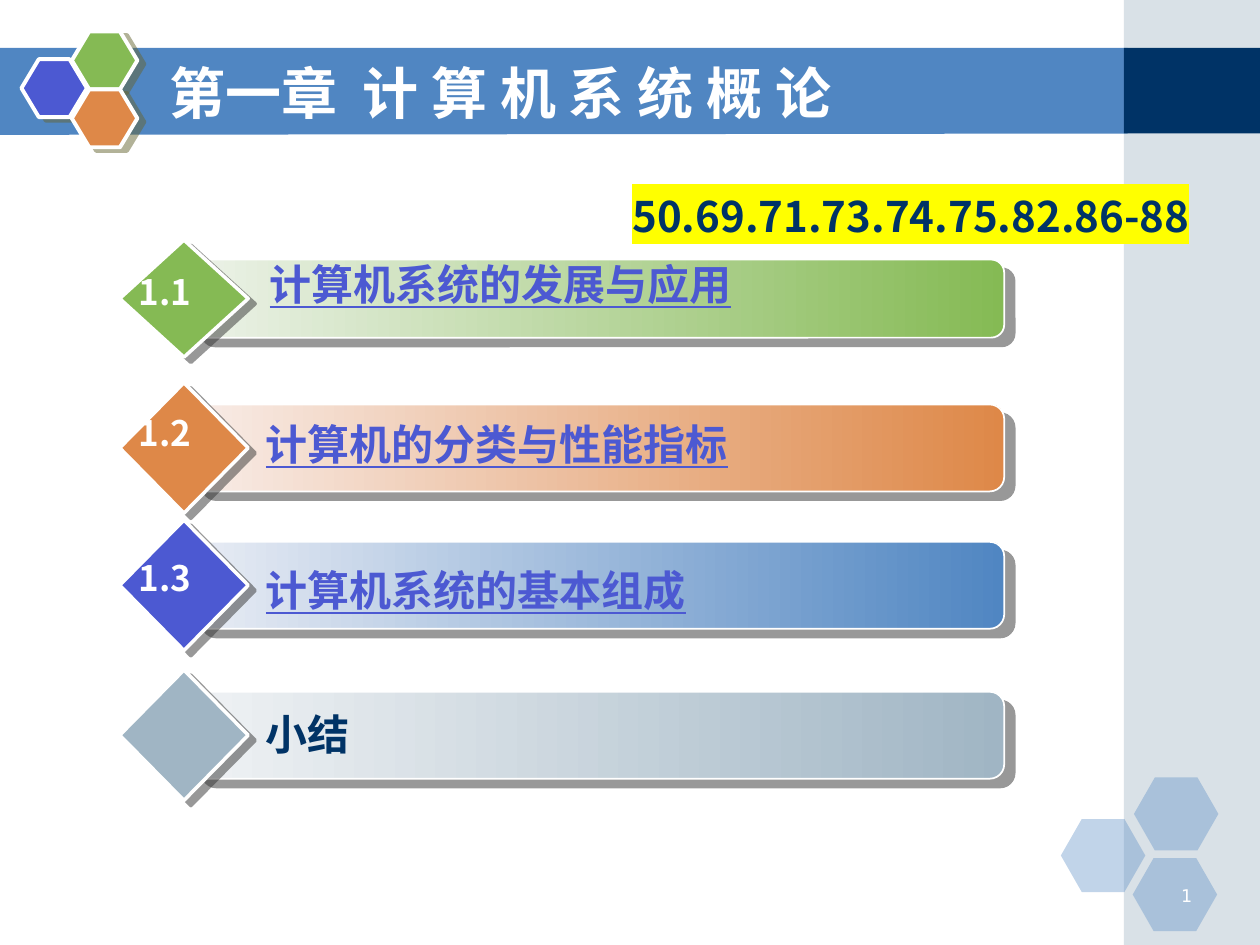
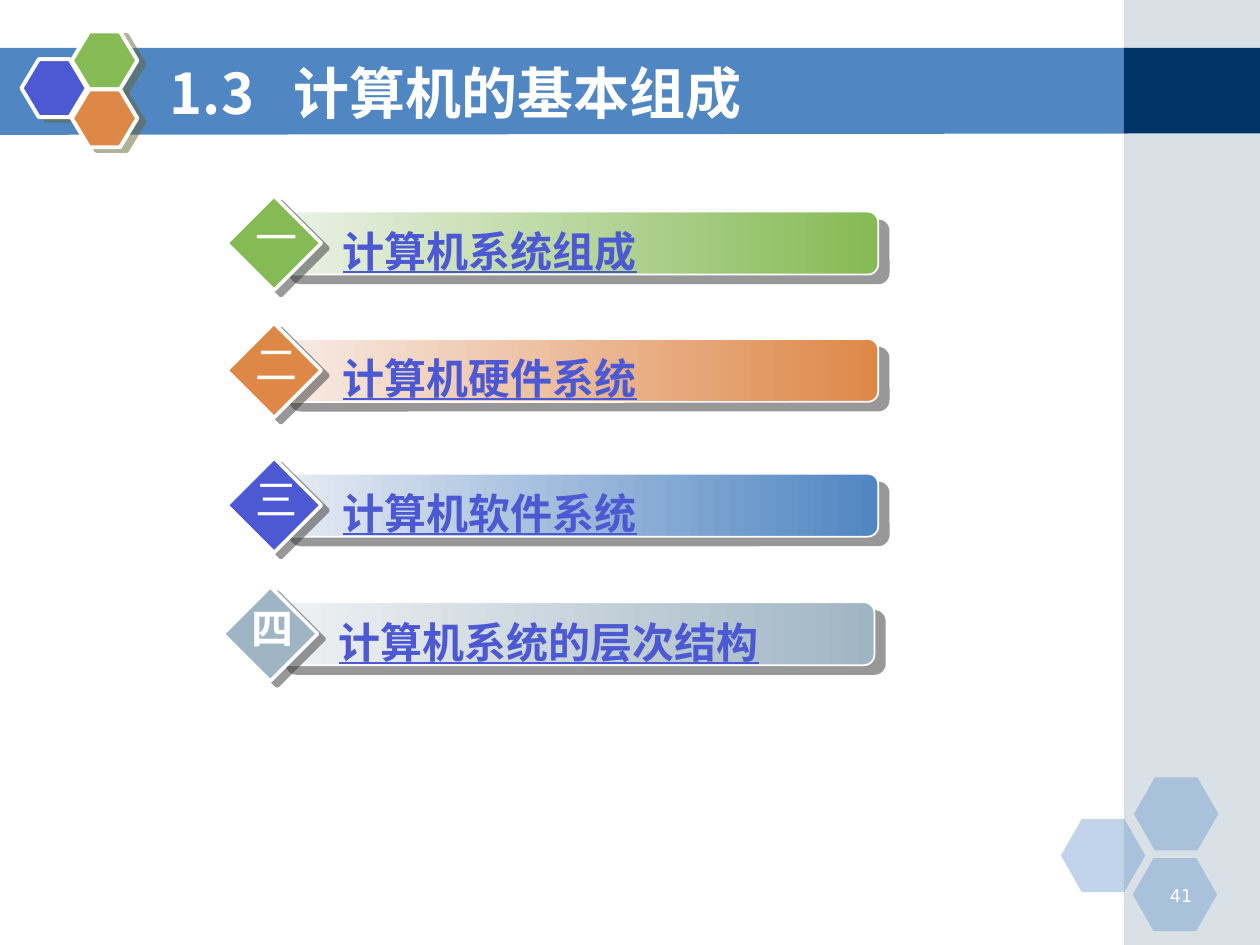
from typing import Any, NamedTuple

import pptx
import pptx.dml.color
import pptx.enum.shapes
import pptx.enum.text
import pptx.oxml
import pptx.oxml.ns
import pptx.util
from lxml import etree

Inches = pptx.util.Inches
Pt = pptx.util.Pt
qn = pptx.oxml.ns.qn
MSO = pptx.enum.shapes.MSO_SHAPE
ALIGN = pptx.enum.text.PP_ALIGN


class Theme:
    white = "FFFFFF"
    navy = "003366"
    blue = "5086C2"
    violet = "4C59D2"
    green = "85BA54"
    orange = "DE8848"
    grey = "A0B5C4"
    highlight = "FFFF00"
    cjk = "Noto Sans CJK SC"
    latin = "Arial"
    number_font = "DejaVu Sans"
    title_size = 32
    item_size = 24
    label_size = 20
    number_size = 10


class Shadow(NamedTuple):
    color: str
    distance: float
    angle: int


class Tint(NamedTuple):
    diamond: str
    light: str
    dark: str


class Row(NamedTuple):
    label: str
    text: str
    tint: Tint
    y: float
    height: float
    text_y: float
    label_y: float
    bar_x: float
    text_shift: float = 0
    link: bool = True
    label_bold: bool = True


class Agenda(NamedTuple):
    bar_w: float
    diamond_dx: float
    diamond_w: float
    text_dx: float
    text_w: float
    label_dx: float
    label_w: float
    label_h: float
    label_size: int
    font: str


LOGO_SHADOW = Shadow("666633", 4.5, 27)
BAR_SHADOW = Shadow("333333", 7.8, 40)
DIAMOND_SHADOW = Shadow("333333", 5, 37)

GREEN = Tint(Theme.green, "ECF2E8", Theme.green)
ORANGE = Tint(Theme.orange, "F8ECE7", Theme.orange)
BLUE = Tint(Theme.violet, "E8ECF4", Theme.blue)
GREY = Tint(Theme.grey, "EFF2F4", Theme.grey)

CHAPTER = Agenda(6.45, -0.57, 1.02, 0.34, 5.6, -0.52, 0.81, 0.44,
                 Theme.label_size, Theme.cjk)
SECTION = Agenda(4.75, -0.42, 0.75, 0.25, 3.75, -0.29, 0.53, 0.5,
                 Theme.item_size, Theme.latin)


def rgb(color: str) -> pptx.dml.color.RGBColor:
    return pptx.dml.color.RGBColor.from_string(color)


def add_shape(s: Any, kind: Any, x: float, y: float, w: float, h: float, *,
              fill: str = "", gradient: tuple[str, ...] = (), alpha: int = 100,
              line: float = 0, adj: float | None = None,
              shadow: Shadow | None = None) -> Any:
    sp = s.shapes.add_shape(kind, Inches(x), Inches(y), Inches(w), Inches(h))
    if adj is not None:
        sp.adjustments[0] = adj
    if gradient:
        sp.fill.gradient()
        sp.fill.gradient_angle = 0
        for stop, color in zip(sp.fill.gradient_stops, gradient):
            stop.color.rgb = rgb(color)
        for position, stop in enumerate(sp.fill.gradient_stops):
            stop.position = position
    else:
        sp.fill.solid()
        sp.fill.fore_color.rgb = rgb(fill)
    if alpha < 100:
        clr = sp.element.spPr.find(qn("a:solidFill")).find(qn("a:srgbClr"))
        etree.SubElement(clr, qn("a:alpha"), val=str(alpha * 1000))
    if line:
        sp.line.color.rgb = rgb(Theme.white)
        sp.line.width = Pt(line)
    else:
        sp.line.fill.background()
    sp.shadow.inherit = False
    if shadow:
        effects = sp.element.spPr.find(qn("a:effectLst"))
        outer = etree.SubElement(
            effects, qn("a:outerShdw"), dist=str(int(Pt(shadow.distance))),
            dir=str(shadow.angle * 60000), algn="ctr", rotWithShape="0")
        clr = etree.SubElement(outer, qn("a:srgbClr"), val=shadow.color)
        etree.SubElement(clr, qn("a:alpha"), val="50000")
    return sp


def add_text(s: Any, text: str, x: float, y: float, w: float, h: float, *,
             size: int, color: str, font: str = Theme.cjk, bold: bool = True,
             underline: bool = False, highlight: str = "", align: Any = None,
             indent: float = 0, tab: float = 0, wrap: bool = True) -> None:
    tf = s.shapes.add_textbox(Inches(x), Inches(y), Inches(w), Inches(h)).text_frame
    tf.word_wrap = wrap
    tf.vertical_anchor = pptx.enum.text.MSO_ANCHOR.MIDDLE
    tf.margin_top = tf.margin_bottom = 0
    tf.margin_left = Inches(0.1 + indent)
    p = tf.paragraphs[0]
    if tab:
        stops = etree.SubElement(p._p.get_or_add_pPr(), qn("a:tabLst"))
        etree.SubElement(stops, qn("a:tab"), pos=str(int(Inches(tab))), algn="l")
    if align is not None:
        p.alignment = align
    r = p.add_run()
    r.text = text
    r.font.size = Pt(size)
    r.font.bold = bold
    if underline:
        r.font.underline = True
    r.font.color.rgb = rgb(color)
    r.font.name = font
    # East Asian typeface and highlight sit beside the latin typeface
    latin = r._r.get_or_add_rPr().find(qn("a:latin"))
    ea = pptx.oxml.parse_xml(f'<a:ea {pptx.oxml.ns.nsdecls("a")} typeface="{font}"/>')
    latin.addnext(ea)
    if highlight:
        mark = etree.Element(qn("a:highlight"))
        etree.SubElement(mark, qn("a:srgbClr"), val=highlight)
        latin.addprevious(mark)


def add_frame(s: Any, title: str, tab: float, number: int) -> None:
    # Title band and side column
    builder = s.shapes.build_freeform(Inches(-0.01), Inches(0.38))
    builder.add_line_segments([(Inches(x), Inches(y)) for x, y in
                               ((8.95, 0.38), (8.95, 1.06), (-0.01, 1.07))])
    band = builder.convert_to_shape()
    band.fill.solid()
    band.fill.fore_color.rgb = rgb(Theme.blue)
    band.line.fill.background()
    band.shadow.inherit = False
    add_shape(s, MSO.RECTANGLE, 8.92, 0, 1.08, 7.5, fill=Theme.grey, alpha=40)
    add_shape(s, MSO.RECTANGLE, 8.92, 0.38, 1.08, 0.68, fill=Theme.navy)

    # Hexagon clusters
    for x, y in ((8.42, 6.5), (9, 6.17), (8.99, 6.81)):
        add_shape(s, MSO.HEXAGON, x, y, 0.67, 0.58, fill=Theme.blue, alpha=35,
                  adj=0.286)
    for x, y, color in ((0.17, 0.47, Theme.violet), (0.57, 0.25, Theme.green),
                        (0.57, 0.71, Theme.orange)):
        add_shape(s, MSO.HEXAGON, x, y, 0.52, 0.46, fill=color, line=2.25,
                  adj=0.3, shadow=LOGO_SHADOW)

    # Slide number and title
    add_text(s, str(number), 9.06, 6.98, 0.5, 0.25, size=Theme.number_size,
             color=Theme.white, font=Theme.number_font, bold=False,
             align=ALIGN.RIGHT)
    add_text(s, title, 1.25, 0.42, 7.33, 0.62, size=Theme.title_size,
             color=Theme.white, tab=tab)


def add_row(s: Any, agenda: Agenda, row: Row) -> None:
    diamond_h = row.height * 1.5
    add_shape(s, MSO.ROUNDED_RECTANGLE, row.bar_x, row.y, agenda.bar_w, row.height,
              gradient=(row.tint.light, row.tint.dark), line=1, adj=0.167,
              shadow=BAR_SHADOW)
    add_shape(s, MSO.DIAMOND, row.bar_x + agenda.diamond_dx,
              row.y + (row.height - diamond_h) / 2, agenda.diamond_w, diamond_h,
              fill=row.tint.diamond, line=2, shadow=DIAMOND_SHADOW)
    add_text(s, row.text, row.bar_x + agenda.text_dx + row.text_shift, row.text_y,
             agenda.text_w, 0.5, size=Theme.item_size, font=agenda.font,
             color=Theme.violet if row.link else Theme.navy,
             underline=row.link, indent=0.15)
    if row.label:
        add_text(s, row.label, row.bar_x + agenda.label_dx, row.label_y,
                 agenda.label_w, agenda.label_h, size=agenda.label_size,
                 color=Theme.white, font=agenda.font, bold=row.label_bold,
                 wrap=agenda is CHAPTER)


def build_chapter(s: Any) -> None:
    add_frame(s, "第一章\t计 算 机 系 统 概 论", 1.53, 1)
    for row in (
        Row("1.1", "计算机系统的发展与应用", GREEN, 2.06, 0.62, 2.0, 2.09, 1.52, 0.03),
        Row("1.2", "计算机的分类与性能指标", ORANGE, 3.21, 0.69, 3.27, 3.21, 1.52),
        Row("1.3", "计算机系统的基本组成", BLUE, 4.3, 0.69, 4.43, 4.36, 1.52),
        Row("", "小结", GREY, 5.49, 0.69, 5.57, 0, 1.52, link=False),
    ):
        add_row(s, CHAPTER, row)
    add_text(s, "50.69.71.73.74.75.82.86-88", 4.92, 1.46, 4.96, 0.5,
             size=Theme.item_size, color=Theme.navy, highlight=Theme.highlight)


def build_section(s: Any) -> None:
    add_frame(s, "1.3\t计算机的基本组成", 0.98, 41)
    for label, text, tint, x, y, bold in (
        ("一", "计算机系统组成", GREEN, 2.22, 1.68, False),
        ("二", "计算机硬件系统", ORANGE, 2.22, 2.69, False),
        ("三", "计算机软件系统", BLUE, 2.22, 3.76, False),
        ("四", "计算机系统的层次结构", GREY, 2.19, 4.78, True),
    ):
        add_row(s, SECTION, Row(label, text, tint, y, 0.5, y + 0.06, y - 0.05, x,
                                label_bold=bold))


def main() -> None:
    prs = pptx.Presentation()
    prs.slide_width, prs.slide_height = Inches(10), Inches(7.5)
    for build in (build_chapter, build_section):
        build(prs.slides.add_slide(prs.slide_layouts[6]))
    prs.save("out.pptx")


if __name__ == "__main__":
    main()
